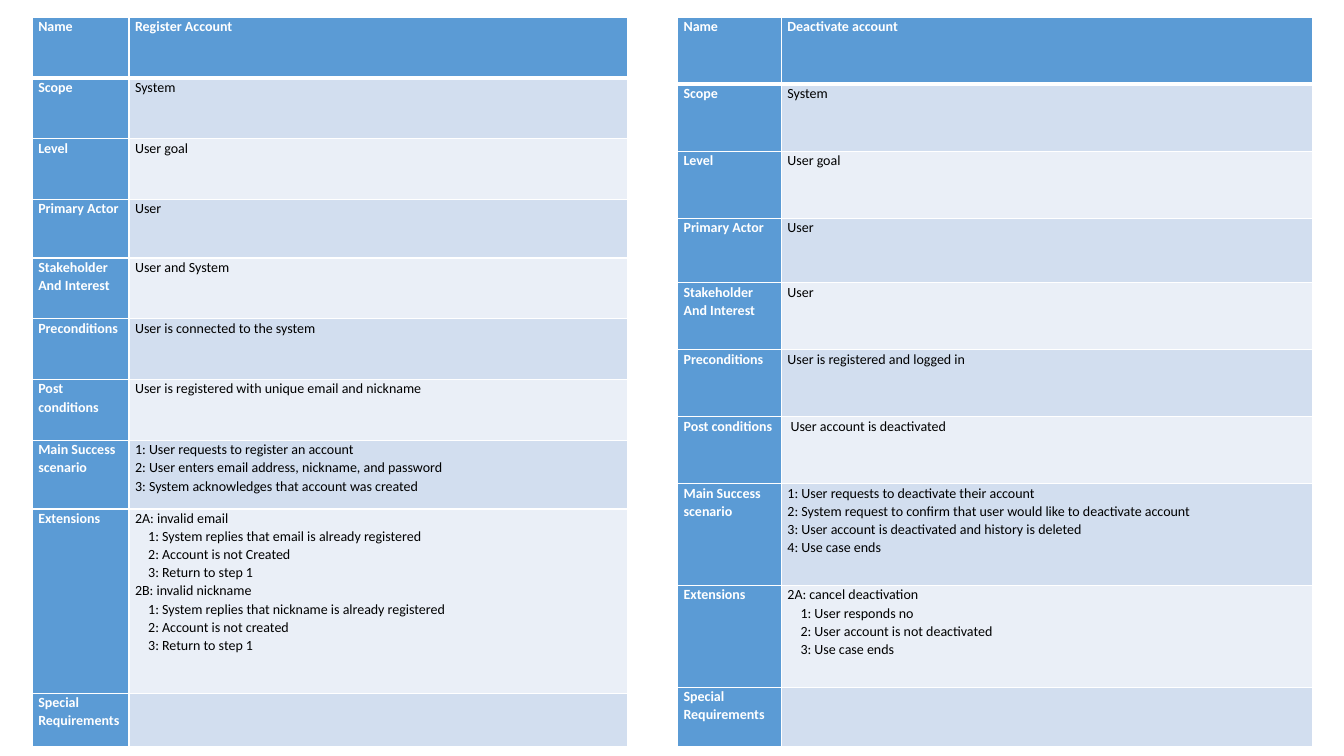
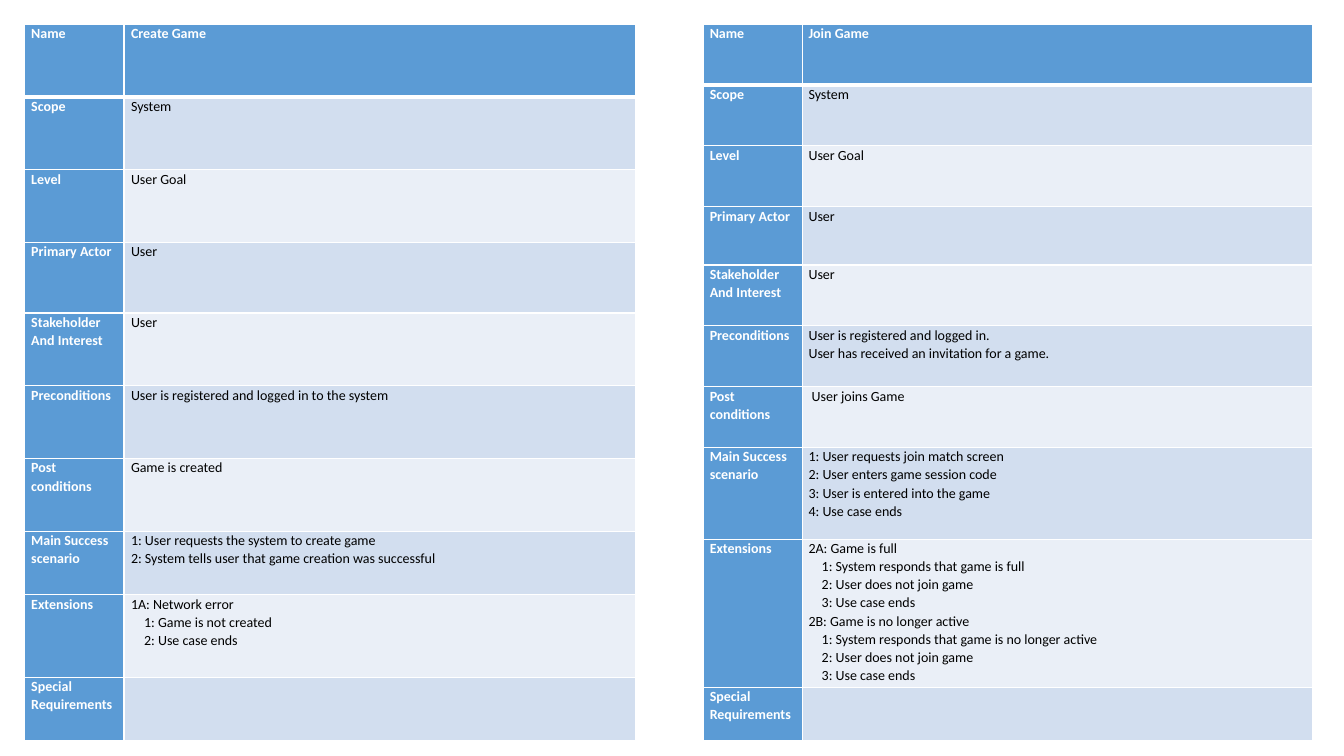
"""Build two slides of use case tables, two tables on each slide."""
from lxml.etree import SubElement
from pptx import Presentation
from pptx.dml.color import RGBColor
from pptx.oxml.ns import qn
from pptx.util import Inches, Pt

BLUE = RGBColor(0x5B, 0x9B, 0xD5)
BAND_DARK = RGBColor(0xD2, 0xDE, 0xEF)
BAND_LIGHT = RGBColor(0xEA, 0xEF, 0xF7)
WHITE = RGBColor(0xFF, 0xFF, 0xFF)
BLACK = RGBColor(0x00, 0x00, 0x00)

FONT = "Calibri"
STEP_INDENT = Inches(0.13)
LABELS = [
    "Name", "Scope", "Level", "Primary Actor", "Stakeholder\nAnd Interest",
    "Preconditions", "Post conditions", "Main Success scenario", "Extensions",
    "Special Requirements",
]

SLIDES = [
    [
        {
            "place": (0.32, 0.17, 5.9, 7.24), "label_width": 0.96, "inset": 0.06,
            "heights": {"Primary Actor": 0.58, "Main Success scenario": 0.68,
                        "Extensions": 1.83, "Special Requirements": 0.53},
            "values": [
                "Register Account", "System", "User goal", "User", "User and System",
                "User is connected to the system",
                "User is registered with unique email and nickname",
                "1: User requests to register an account\n"
                "2: User enters email address, nickname, and password\n"
                "3: System acknowledges that account was created",
                "2A: invalid email\n"
                "1: System replies that email is already registered\n"
                "2: Account is not Created\n"
                "3: Return to step 1\n"
                "2B: invalid nickname\n"
                "1: System replies that nickname is already registered\n"
                "2: Account is not created\n"
                "3: Return to step 1",
                "",
            ],
        },
        {
            "place": (6.72, 0.17, 6.3, 7.24), "label_width": 1.03, "inset": 0.06,
            "heights": {"Primary Actor": 0.64, "Main Success scenario": 1.01,
                        "Extensions": 1.01, "Special Requirements": 0.59},
            "values": [
                "Deactivate account", "System", "User goal", "User", "User",
                "User is registered and logged in",
                " User account is deactivated",
                "1: User requests to deactivate their account\n"
                "2: System request to confirm that user would like to deactivate account\n"
                "3: User account is deactivated and history is deleted\n"
                "4: Use case ends",
                "2A: cancel deactivation\n"
                "1: User responds no\n"
                "2: User account is not deactivated\n"
                "3: Use case ends",
                "",
            ],
        },
    ],
    [
        {
            "place": (0.24, 0.24, 6.06, 7.11), "label_width": 0.99, "inset": 0.07,
            "heights": {"Primary Actor": 0.7, "Main Success scenario": 0.63,
                        "Extensions": 0.82, "Special Requirements": 0.63},
            "values": [
                "Create Game", "System", "User Goal", "User", "User",
                "User is registered and logged in to the system",
                "Game is created",
                "1: User requests the system to create game\n"
                "2: System tells user that game creation was successful",
                "1A: Network error\n"
                "1: Game is not created\n"
                "2: Use case ends",
                "",
            ],
        },
        {
            "place": (6.98, 0.24, 6.04, 7.11), "label_width": 0.98, "inset": 0.06,
            "heights": {"Primary Actor": 0.58, "Main Success scenario": 0.91,
                        "Extensions": 1.47, "Special Requirements": 0.53},
            "values": [
                "Join Game", "System", "User Goal", "User", "User",
                "User is registered and logged in.\n"
                "User has received an invitation for a game.",
                " User joins Game",
                "1: User requests join match screen\n"
                "2: User enters game session code\n"
                "3: User is entered into the game\n"
                "4: Use case ends",
                "2A: Game is full\n"
                "1: System responds that game is full\n"
                "2: User does not join game\n"
                "3: Use case ends\n"
                "2B: Game is no longer active\n"
                "1: System responds that game is no longer active\n"
                "2: User does not join game\n"
                "3: Use case ends",
                "",
            ],
        },
    ],
]


def style_cell(cell, fill, inset, row):
    cell.margin_left = cell.margin_right = Inches(inset)
    cell.margin_top = cell.margin_bottom = 0
    properties = cell._tc.get_or_add_tcPr()
    for side in ("lnL", "lnR", "lnT", "lnB"):
        thick = (row, side) in ((0, "lnB"), (1, "lnT"))
        line = SubElement(properties, qn(f"a:{side}"), w=str(Pt(3 if thick else 1)))
        line_fill = SubElement(line, qn("a:solidFill"))
        SubElement(line_fill, qn("a:srgbClr"), val=str(WHITE))
    cell.fill.solid()
    cell.fill.fore_color.rgb = fill


def write_cell(cell, text, color, bold, indent_steps):
    for index, line in enumerate(text.split("\n")):
        frame = cell.text_frame
        para = frame.add_paragraph() if index else frame.paragraphs[0]
        para.line_spacing = 1.07
        if indent_steps and line[1:2] == ":":
            para._p.get_or_add_pPr().set("marL", str(STEP_INDENT))
        if line:
            span = para.add_run()
            span.text = line
            span.font.name = FONT
            span.font.size = Pt(10)
            span.font.bold = bold
            span.font.color.rgb = color


deck = Presentation()
deck.slide_width = Inches(13.33)
deck.slide_height = Inches(7.5)

for use_cases in SLIDES:
    page = deck.slides.add_slide(deck.slide_layouts[6])
    for case in use_cases:
        left, top, width, height = case["place"]
        table = page.shapes.add_table(
            len(LABELS), 2, Inches(left), Inches(top), Inches(width), Inches(height)
        ).table
        table.columns[0].width = Inches(case["label_width"])
        table.columns[1].width = Inches(width - case["label_width"])
        special = case["heights"]
        plain_height = (height - sum(special.values())) / (len(LABELS) - len(special))

        for row, (label, value) in enumerate(zip(LABELS, case["values"])):
            table.rows[row].height = Inches(special.get(label, plain_height))
            header = row == 0
            band = BLUE if header else BAND_DARK if row % 2 else BAND_LIGHT
            label_cell, value_cell = table.cell(row, 0), table.cell(row, 1)
            style_cell(label_cell, BLUE, case["inset"], row)
            style_cell(value_cell, band, case["inset"], row)
            write_cell(label_cell, label, WHITE, True, False)
            write_cell(value_cell, value, WHITE if header else BLACK, header,
                       label == "Extensions")

deck.save("out.pptx")
